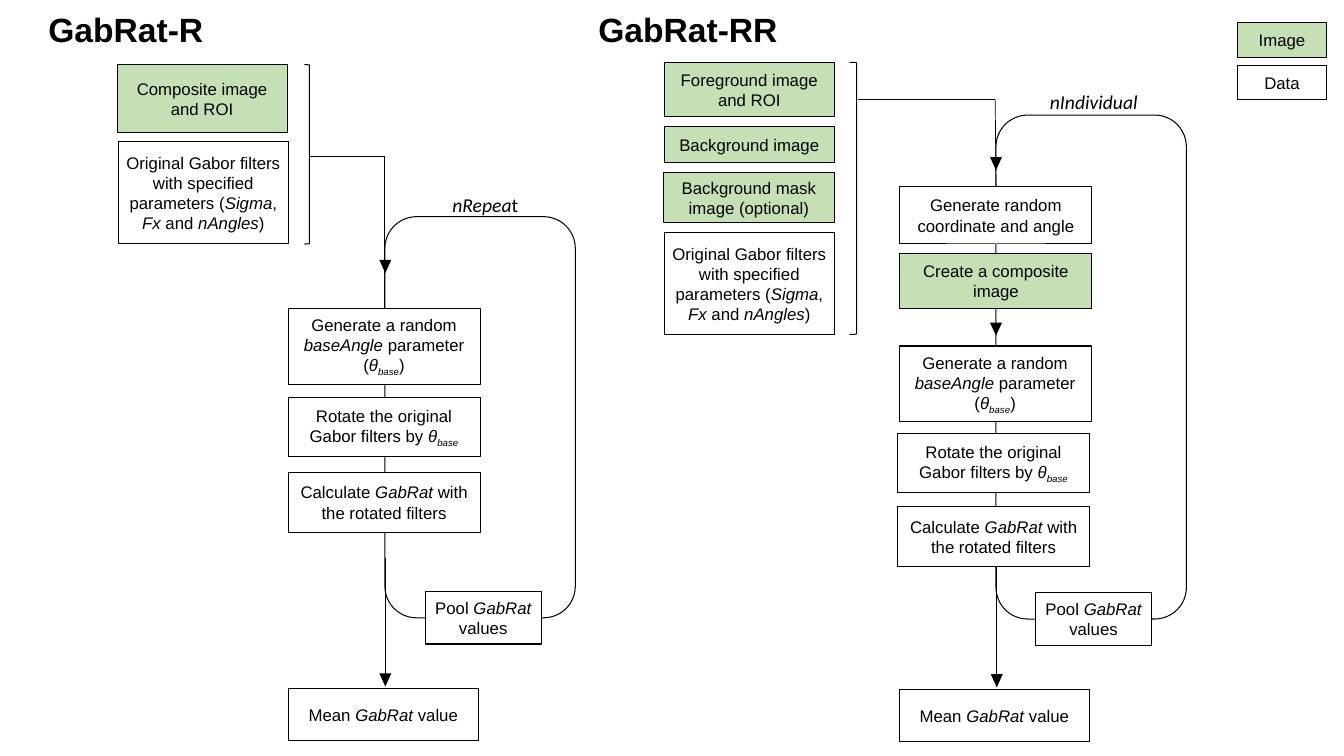
import pptx
import pptx.dml.color
import pptx.enum.shapes
import pptx.enum.text
import pptx.oxml.ns
import pptx.util
import lxml.etree

Cm, Pt = pptx.util.Cm, pptx.util.Pt
Preset = pptx.enum.shapes.MSO_SHAPE
Align = pptx.enum.text.PP_ALIGN
BLACK = pptx.dml.color.RGBColor(0x00, 0x00, 0x00)
WHITE = pptx.dml.color.RGBColor(0xFF, 0xFF, 0xFF)
GREEN = pptx.dml.color.RGBColor(0xC5, 0xE0, 0xB4)

# Wording: *italic*, and inside italics an underscore starts a subscript
GABOR = "Original Gabor filters with specified parameters (*Sigma*, *Fx* and *nAngles*)"
BASE_ANGLE = "Generate a random *baseAngle* parameter (*θ_base*)"
ROTATE = "Rotate the original Gabor filters by *θ_base*"
CALCULATE = "Calculate *GabRat* with the rotated filters"
POOL = "Pool *GabRat* values"
MEAN = "Mean *GabRat* value"

# Each box is left, top, width, height, fill, text; lengths in cm
panels = [
    {
        "title": ("GabRat-R", 0.97, 4.47),
        "label": ("*nRepea*t", 11.15, 4.74, 2.31),
        "loop": (9.7, 5.46, 4.8, 10.11),
        "bracket": (7.67, 1.63, 0.13, 4.52),
        "boxes": [
            (7.26, 7.77, 4.84, 1.91, WHITE, BASE_ANGLE),  # first step
            (7.26, 10.01, 4.84, 1.5, WHITE, ROTATE),
            (7.26, 11.91, 4.84, 1.5, WHITE, CALCULATE),
            (10.72, 14.91, 2.92, 1.32, WHITE, POOL),
            (7.26, 17.35, 4.8, 1.32, WHITE, MEAN),
            (2.95, 1.63, 4.29, 1.7, GREEN, "Composite image and ROI"),
            (2.98, 3.57, 4.29, 2.57, None, GABOR),
        ],
        "entry": (7.8, 9.68, 3.94),
        "exit": (9.7, 14.05, 17.27),
        "arrowheads": [(9.56, 6.55), (9.56, 16.97)],
    },
    {
        "title": ("GabRat-RR", 14.83, 5.08),
        "label": ("*nIndividual*", 26.21, 2.13, 2.87),
        "loop": (25.1, 2.9, 4.8, 12.7),
        "bracket": (21.41, 1.57, 0.18, 6.86),
        "boxes": [
            (22.68, 4.7, 4.84, 1.45, WHITE, "Generate random coordinate and angle"),
            (22.68, 6.38, 4.84, 1.4, GREEN, "Create a composite image"),
            (22.66, 8.72, 4.84, 1.91, WHITE, BASE_ANGLE),
            (22.62, 10.92, 4.84, 1.5, WHITE, ROTATE),
            (22.62, 12.77, 4.84, 1.5, WHITE, CALCULATE),
            (26.1, 14.94, 2.92, 1.32, WHITE, POOL),
            (22.66, 17.37, 4.8, 1.32, WHITE, MEAN),
            (16.74, 1.57, 4.29, 1.37, GREEN, "Foreground image and ROI"),
            (16.74, 3.2, 4.29, 0.89, GREEN, "Background image"),
            (16.73, 4.34, 4.29, 1.27, GREEN, "Background mask image (optional)"),
            (16.74, 5.87, 4.29, 2.57, None, GABOR),
        ],
        "entry": (21.62, 25.08, 2.51),
        "exit": (25.1, 14.27, 17.3),
        "arrowheads": [(24.95, 3.96), (24.95, 8.13), (24.97, 16.99)],
    },
]
legend = [
    (31.19, 0.58, 2.24, 0.86, GREEN, "Image"),
    (31.19, 1.65, 2.24, 0.86, WHITE, "Data"),
]

deck = pptx.Presentation()
deck.slide_width, deck.slide_height = Cm(33.87), Cm(19.05)
page = deck.slides.add_slide(deck.slide_layouts[6])


def add_outlined(preset, left, top, width, height, fill=None):
    shape = page.shapes.add_shape(preset, Cm(left), Cm(top), Cm(width), Cm(height))
    shape.shadow.inherit = False
    if fill is None:
        shape.fill.background()
    else:
        shape.fill.solid()
        shape.fill.fore_color.rgb = fill
    shape.line.color.rgb = BLACK
    shape.line.width = Pt(0.75)
    return shape


def write(shape, text, font_name, size, align, bold=False):
    para = shape.text_frame.paragraphs[0]
    para.alignment = align
    para.font.name, para.font.size, para.font.bold = font_name, Pt(size), bold
    para.font.color.rgb = BLACK
    for index, part in enumerate(text.split("*")):
        main, _, subscript = part.partition("_")
        for piece, baseline in ((main, None), (subscript, "-25000")):
            if piece:
                span = para.add_run()
                span.text = piece
                if index % 2:
                    span.font.italic = True
                if baseline:
                    span._r.get_or_add_rPr().set("baseline", baseline)


for panel in panels:
    # Repeat loop and input bracket
    add_outlined(Preset.ROUNDED_RECTANGLE, *panel["loop"])
    add_outlined(Preset.RIGHT_BRACKET, *panel["bracket"])

    # Boxes, with side margins that let the narrow pool box hold two lines
    boxes = []
    for *place, fill, text in panel["boxes"]:
        box = add_outlined(Preset.RECTANGLE, *place, fill)
        box.text_frame.margin_left = box.text_frame.margin_right = Cm(0.2)
        write(box, text, "Arial", 12, Align.CENTER)
        boxes.append(box)

    # Lines from the inputs to the first step, and down to the mean
    bracket_x, turn_x, entry_y = panel["entry"]
    exit_x, exit_top, exit_bottom = panel["exit"]
    first_top = panel["boxes"][0][1]
    lines = []
    for ends in (
        (bracket_x, entry_y, turn_x, entry_y),
        (turn_x, entry_y, turn_x, first_top),
        (exit_x, exit_top, exit_x, exit_bottom),
    ):
        line = page.shapes.add_connector(
            pptx.enum.shapes.MSO_CONNECTOR.STRAIGHT, *(Cm(end) for end in ends))
        line.line.color.rgb = BLACK
        line.line.width = Pt(0.5)
        lxml.etree.SubElement(line._element.spPr, pptx.oxml.ns.qn("a:effectLst"))
        lines.append(line)
    lines[1].end_connect(boxes[0], 0)

    # Arrowheads along the flow
    for left, top in panel["arrowheads"]:
        arrowhead = add_outlined(Preset.ISOSCELES_TRIANGLE, left, top, 0.3, 0.33, BLACK)
        arrowhead.line.fill.background()
        arrowhead.rotation = 180

    # Title and loop label
    title, title_left, title_width = panel["title"]
    label, label_left, label_top, label_width = panel["label"]
    for text, left, top, width, height, font_name, size, bold in (
        (title, title_left, 0.1, title_width, 1.27, "Arial", 24, True),
        (label, label_left, label_top, label_width, 0.86, "Calibri", 14, False),
    ):
        caption = page.shapes.add_textbox(Cm(left), Cm(top), Cm(width), Cm(height))
        caption.text_frame.word_wrap = False
        caption.text_frame.auto_size = pptx.enum.text.MSO_AUTO_SIZE.SHAPE_TO_FIT_TEXT
        write(caption, text, font_name, size, Align.LEFT, bold)

# Legend
for *place, fill, text in legend:
    key = add_outlined(Preset.RECTANGLE, *place, fill)
    write(key, text, "Arial", 12, Align.CENTER)

deck.save("out.pptx")
